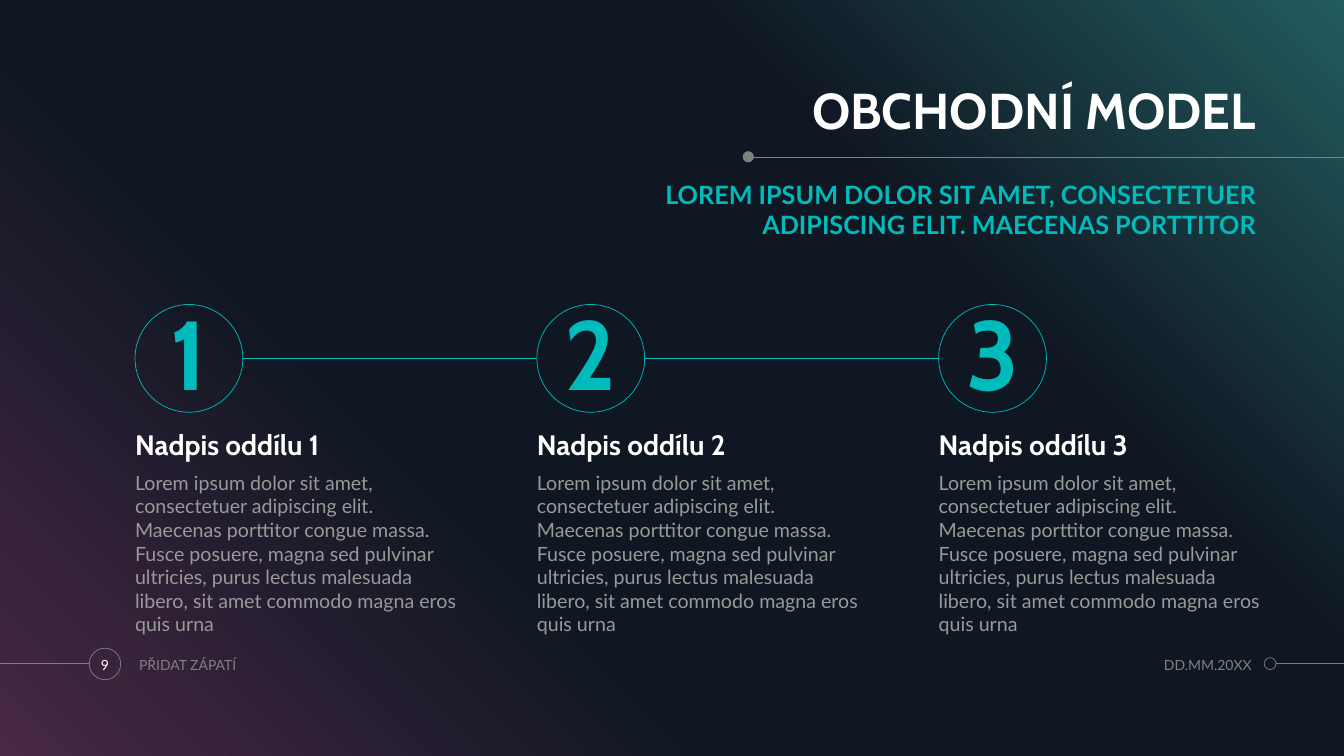
from lxml import etree
from pptx import Presentation
from pptx.dml.color import RGBColor
from pptx.enum.shapes import MSO_CONNECTOR, MSO_SHAPE
from pptx.enum.text import MSO_ANCHOR, PP_ALIGN
from pptx.oxml.ns import qn
from pptx.util import Pt

LINE, RECT, OVAL = MSO_CONNECTOR.STRAIGHT, MSO_SHAPE.RECTANGLE, MSO_SHAPE.OVAL
TOP, MIDDLE, BOTTOM = MSO_ANCHOR.TOP, MSO_ANCHOR.MIDDLE, MSO_ANCHOR.BOTTOM
LEFT, CENTER, RIGHT = PP_ALIGN.LEFT, PP_ALIGN.CENTER, PP_ALIGN.RIGHT

BLACK = RGBColor(0x00, 0x00, 0x00)
WHITE = RGBColor(0xFF, 0xFF, 0xFF)
TEAL = RGBColor(0x00, 0xBB, 0xBB)
GRAY = RGBColor(0x80, 0x80, 0x80)
SILVER = RGBColor(0x99, 0x99, 0x99)
PLUM = RGBColor(0x48, 0x28, 0x45)
NIGHT = RGBColor(0x0F, 0x17, 0x22)
PINE = RGBColor(0x22, 0x5B, 0x5F)

HEAD, BODY = "Cabin", "Lato"
WIDTH, HEIGHT = 960, 540
START, STEP, RING, RINGTOP = 96.5, 287, 77, 217.5
STEPS = 3
LOREM = (
    "Lorem ipsum dolor sit amet, consectetuer adipiscing elit. "
    "Maecenas porttitor congue massa. Fusce posuere, magna sed pulvinar "
    "ultricies, purus lectus malesuada libero, sit amet commodo magna eros "
    "quis urna"
)


def add_backdrop(slide):
    slide.background.fill.solid()
    slide.background.fill.fore_color.rgb = BLACK
    shape = slide.shapes.add_shape(RECT, 0, 0, Pt(WIDTH), Pt(HEIGHT))
    shape.shadow.inherit = False
    shape.line.fill.background()
    shape.fill.gradient()
    shape.fill.gradient_angle = 45
    stops = shape.element.spPr.find(".//" + qn("a:gsLst"))
    for stop in list(stops):
        stops.remove(stop)
    for place, color in ((0, PLUM), (34, NIGHT), (69, NIGHT), (100, PINE)):
        stop = etree.SubElement(stops, qn("a:gs"), pos=str(place * 1000))
        etree.SubElement(stop, qn("a:srgbClr"), val=str(color))


def add_line(slide, left, right, y, color):
    line = slide.shapes.add_connector(LINE, Pt(left), Pt(y), Pt(right), Pt(y))
    line.line.color.rgb = color
    line.line.width = Pt(0.5)
    etree.SubElement(line.element.spPr, qn("a:effectLst"))


def add_ring(slide, left, top, size, color, filled=False):
    ring = slide.shapes.add_shape(OVAL, Pt(left), Pt(top), Pt(size), Pt(size))
    ring.shadow.inherit = False
    if filled:
        ring.fill.solid()
        ring.fill.fore_color.rgb = color
        ring.line.fill.background()
    else:
        ring.fill.background()
        ring.line.color.rgb = color
        ring.line.width = Pt(0.5)
    return ring


def set_text(shape, text, font, size, color, bold=False,
             align=LEFT, anchor=TOP, spacing=1.0):
    frame = shape.text_frame
    frame.word_wrap = True
    frame.vertical_anchor = anchor
    frame.margin_left = frame.margin_right = 0
    frame.margin_top = frame.margin_bottom = 0
    para = frame.paragraphs[0]
    para.text = text
    para.alignment = align
    para.line_spacing = spacing
    para.font.name = font
    para.font.size = Pt(size)
    para.font.bold = bold
    para.font.color.rgb = color


def add_text(slide, left, top, width, height, *style, **layout):
    box = slide.shapes.add_textbox(Pt(left), Pt(top), Pt(width), Pt(height))
    set_text(box, *style, **layout)


def add_header(slide):
    add_line(slide, 535, WIDTH, 112.3, GRAY)
    add_ring(slide, 530.5, 108, 8, GRAY, filled=True)
    add_text(slide, 433.5, 55.5, 463.5, 44.5, "OBCHODNÍ MODEL", HEAD, 36,
             WHITE, True, align=RIGHT, anchor=BOTTOM, spacing=0.9)
    add_text(slide, 402, 128, 495, 44.5,
             "LOREM IPSUM DOLOR SIT AMET, CONSECTETUER "
             "ADIPISCING ELIT. MAECENAS PORTTITOR",
             BODY, 18, TEAL, True, align=RIGHT)


def add_step(slide, index):
    left = START + index * STEP
    number = str(index + 1)
    if index < STEPS - 1:
        add_line(slide, left + RING, left + STEP, RINGTOP + RING / 2, TEAL)
    ring = add_ring(slide, left, RINGTOP, RING, TEAL)
    set_text(ring, number, HEAD, 70, TEAL, True,
             align=CENTER, anchor=MIDDLE, spacing=0.9)
    add_text(slide, left, 304, 232, 26, "Nadpis oddílu " + number, HEAD, 20,
             WHITE, True, anchor=BOTTOM, spacing=0.9)
    add_text(slide, left, 336.3, 232, 111.5, LOREM, BODY, 14, SILVER)


def add_footer(slide):
    add_line(slide, 0, 63.5, 474, GRAY)
    add_ring(slide, 63.75, 463, 22.5, GRAY)
    add_line(slide, 911.5, WIDTH, 474, GRAY)
    add_ring(slide, 903, 469.75, 8.5, GRAY)
    for left, width, text, color, align in (
        (61, 28, "9", WHITE, CENTER),
        (99.3, 215, "PŘIDAT ZÁPATÍ", GRAY, LEFT),
        (788.5, 105.5, "DD.MM.20XX", GRAY, RIGHT),
    ):
        add_text(slide, left, 463, width, 24, text, BODY, 10, color,
                 align=align, anchor=MIDDLE)


def main():
    deck = Presentation()
    deck.slide_width, deck.slide_height = Pt(WIDTH), Pt(HEIGHT)
    slide = deck.slides.add_slide(deck.slide_layouts[6])
    add_backdrop(slide)
    add_header(slide)
    for index in range(STEPS):
        add_step(slide, index)
    add_footer(slide)
    deck.save("out.pptx")


if __name__ == "__main__":
    main()
